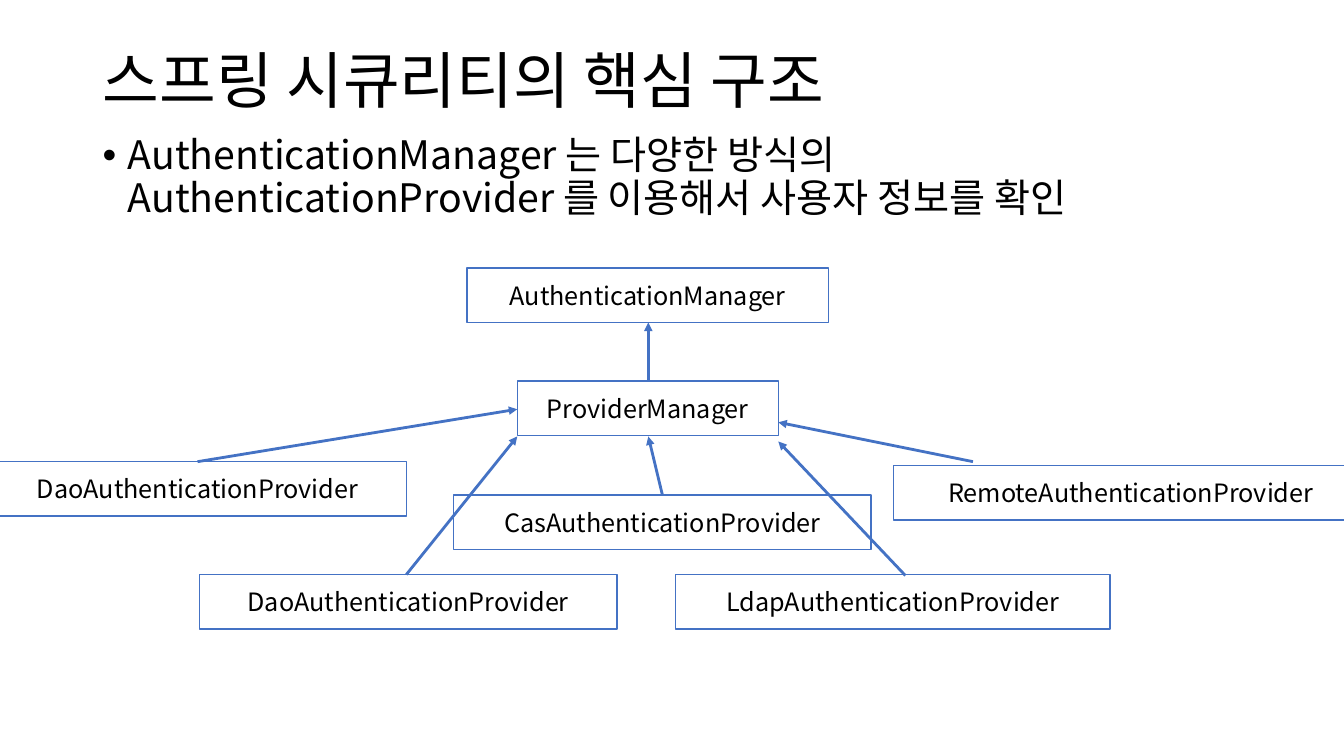
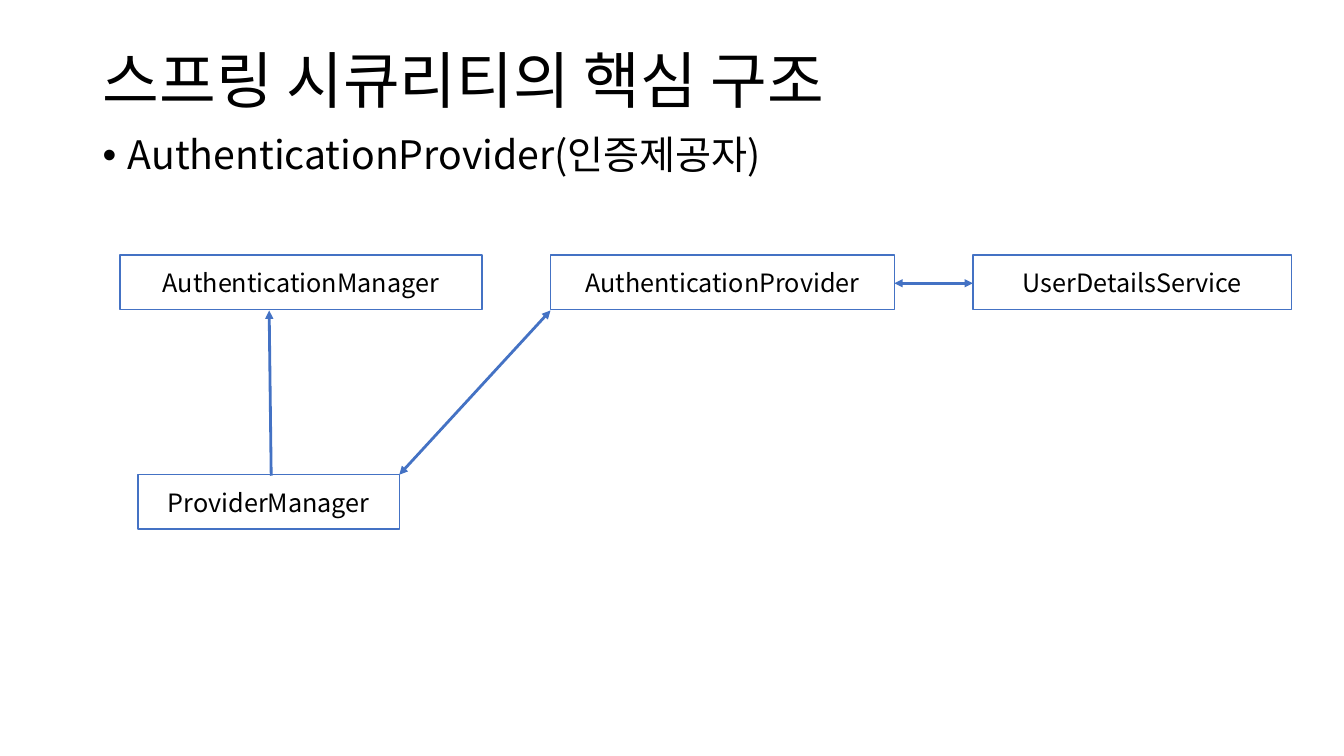
from lxml import etree
from pptx import Presentation
from pptx.dml.color import RGBColor
from pptx.enum.shapes import MSO_CONNECTOR, MSO_SHAPE
from pptx.enum.text import MSO_ANCHOR as ANCHOR, PP_ALIGN as ALIGN
from pptx.oxml.ns import qn
from pptx.util import Inches, Pt

COLORS = {"text": "000000", "box": "FFFFFF", "line": "4472C4"}
FONT = "Noto Sans CJK KR"
TITLE = "스프링 시큐리티의 핵심 구조"
BOX_HEIGHT = 0.54

# Boxes are (text, left, top, width); arrows are (from, to, two-way).
SLIDES = [
    {
        "body": "AuthenticationManager 는 다양한 방식의 "
                "AuthenticationProvider 를 이용해서 사용자 정보를 확인",
        "boxes": [
            ("AuthenticationManager", 4.63, 2.66, 3.59),
            ("ProviderManager", 5.13, 3.78, 2.59),
            ("DaoAuthenticationProvider", -0.11, 4.58, 4.14),
            ("CasAuthenticationProvider", 4.5, 4.91, 4.14),
            ("LdapAuthenticationProvider", 6.7, 5.7, 4.31),
            ("DaoAuthenticationProvider", 1.98, 5.7, 4.14),
            ("RemoteAuthenticationProvider", 8.86, 4.62, 4.71),
        ],
        "arrows": [
            ((6.43, 3.78), (6.43, 3.2), False),
            ((1.96, 4.58), (5.13, 4.06), False),
            ((6.57, 4.91), (6.43, 4.33), False),
            ((9.65, 4.58), (7.72, 4.19), False),
            ((4.03, 5.7), (5.13, 4.33), False),
            ((8.98, 5.71), (7.72, 4.38), False),
        ],
    },
    {
        "body": "AuthenticationProvider(인증제공자)",
        "boxes": [
            ("AuthenticationManager", 1.19, 2.53, 3.59),
            ("ProviderManager", 1.37, 4.71, 2.59),
            ("AuthenticationProvider", 5.46, 2.53, 3.41),
            ("UserDetailsService", 9.65, 2.53, 3.16),
        ],
        "arrows": [
            ((2.69, 4.72), (2.67, 3.08), False),
            ((3.96, 4.71), (5.46, 3.08), True),
            ((8.87, 2.81), (9.65, 2.81), True),
        ],
    },
]


def write_text(sp, text, size, align=ALIGN.LEFT, anchor=ANCHOR.MIDDLE,
               line_spacing=None, space_before=0, bullet=False):
    tf = sp.text_frame
    tf.word_wrap = True
    tf.vertical_anchor = anchor
    p = tf.paragraphs[0]
    p.alignment = align
    p.line_spacing = line_spacing
    p.space_before = Pt(space_before)
    if bullet:
        pPr = p._p.get_or_add_pPr()
        pPr.set("marL", str(Inches(0.25)))
        pPr.set("indent", str(Inches(-0.25)))
        etree.SubElement(pPr, qn("a:buFont"), typeface="Arial")
        etree.SubElement(pPr, qn("a:buChar"), char="•")
    r = p.add_run()
    r.text = text
    r.font.size = Pt(size)
    r.font.color.rgb = RGBColor.from_string(COLORS["text"])
    r.font.name = FONT
    etree.SubElement(r.font._element, qn("a:ea"), typeface=FONT)


def add_arrow(slide, start, end, two_way):
    points = [Inches(v) for v in (*start, *end)]
    line = slide.shapes.add_connector(MSO_CONNECTOR.STRAIGHT, *points)
    line.line.color.rgb = RGBColor.from_string(COLORS["line"])
    line.line.width = Pt(2)
    ln = line.line._get_or_add_ln()
    for tag in ("a:headEnd", "a:tailEnd") if two_way else ("a:tailEnd",):
        etree.SubElement(ln, qn(tag), type="triangle")
    etree.SubElement(line._element.spPr, qn("a:effectLst"))


prs = Presentation()
prs.slide_width = Inches(13.33)
prs.slide_height = Inches(7.5)

for content in SLIDES:
    slide = prs.slides.add_slide(prs.slide_layouts[6])
    title = slide.shapes.add_textbox(
        Inches(0.92), Inches(0.4), Inches(11.5), Inches(0.85))
    write_text(title, TITLE, 44, line_spacing=0.9)
    body = slide.shapes.add_textbox(
        Inches(0.92), Inches(1.3), Inches(11.5), Inches(1))
    write_text(body, content["body"], 28, anchor=ANCHOR.TOP,
               line_spacing=0.9, space_before=10, bullet=True)

    for text, left, top, width in content["boxes"]:
        box = slide.shapes.add_shape(
            MSO_SHAPE.RECTANGLE, Inches(left), Inches(top),
            Inches(width), Inches(BOX_HEIGHT))
        box.shadow.inherit = False
        box.fill.solid()
        box.fill.fore_color.rgb = RGBColor.from_string(COLORS["box"])
        box.line.color.rgb = RGBColor.from_string(COLORS["line"])
        box.line.width = Pt(1)
        write_text(box, text, 18, align=ALIGN.CENTER)

    for start, end, two_way in content["arrows"]:
        add_arrow(slide, start, end, two_way)

prs.save("out.pptx")
